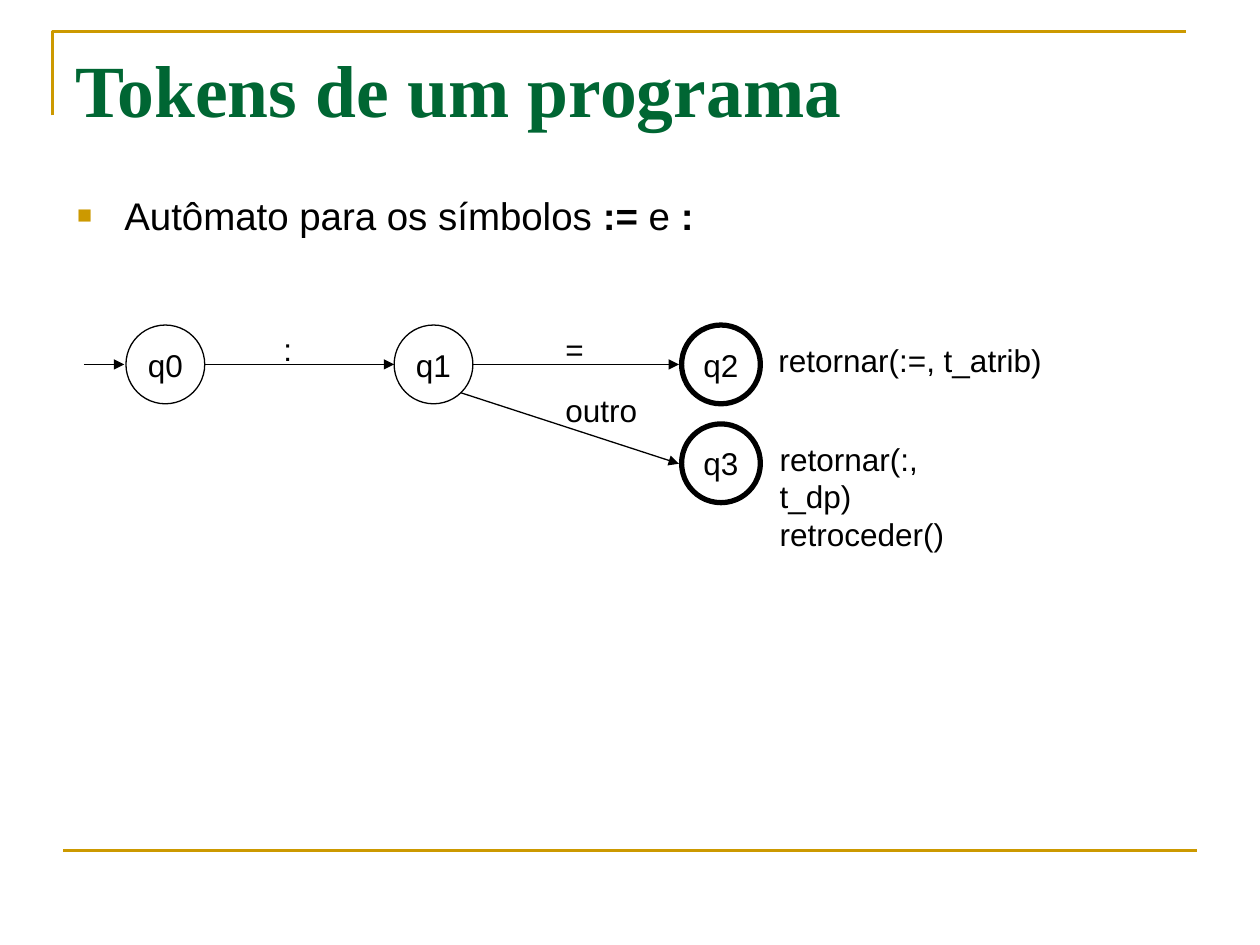
"""Build a slide showing the automaton for the := and : tokens."""
from lxml import etree
from pptx import Presentation
from pptx import util as u
from pptx.dml.color import RGBColor
from pptx.enum import shapes, text
from pptx.oxml import ns

GREEN = RGBColor(0x00, 0x66, 0x33)
GOLD = RGBColor(0xCC, 0x99, 0x00)
BLACK = RGBColor(0x00, 0x00, 0x00)

TITLE = {"name": "Times New Roman", "size": u.Pt(42), "bold": True}
BODY = {"name": "Arial", "size": u.Pt(22)}
LABEL = {"name": "Arial", "size": u.Pt(18)}

DIAMETER = 45
ROW_TOP = 185.75
ROW_MIDDLE = 208.25


def add_child(parent, tag, **attributes):
    return etree.SubElement(parent, ns.qn(tag), attributes)


def style_font(font, values, color=BLACK):
    for name, value in values.items():
        setattr(font, name, value)
    font.color.rgb = color


def style_line(line, color, width):
    line.color.rgb = color
    line.width = u.Pt(width)


def add_text(slide, box, lines, values, color=BLACK, wrap=False):
    shape = slide.shapes.add_textbox(*map(u.Pt, box))
    frame = shape.text_frame
    frame.word_wrap = wrap
    frame.text = "\n".join(lines)
    for paragraph in frame.paragraphs:
        style_font(paragraph.runs[0].font, values, color)


def add_bullet(slide, box, runs):
    frame = slide.shapes.add_textbox(*map(u.Pt, box)).text_frame
    frame.word_wrap = True
    paragraph = frame.paragraphs[0]
    properties = paragraph._p.get_or_add_pPr()
    properties.set("marL", str(u.Pt(27)))
    properties.set("indent", str(u.Pt(-27)))
    color = add_child(properties, "a:buClr")
    add_child(color, "a:srgbClr", val=str(GOLD))
    add_child(properties, "a:buSzPct", val="65000")
    add_child(properties, "a:buFont", typeface="Arial")
    add_child(properties, "a:buChar", char="■")
    style_font(paragraph.font, BODY)
    for words, bold in runs:
        run = paragraph.add_run()
        run.text = words
        style_font(run.font, {**BODY, "bold": bold})


def add_state(slide, name, left, top, width):
    shape = slide.shapes.add_shape(
        shapes.MSO_SHAPE.OVAL, *map(u.Pt, (left, top, DIAMETER, DIAMETER)))
    shape.shadow.inherit = False
    shape.fill.background()
    style_line(shape.line, BLACK, width)
    frame = shape.text_frame
    frame.word_wrap = False
    frame.vertical_anchor = text.MSO_ANCHOR.MIDDLE
    paragraph = frame.paragraphs[0]
    paragraph.alignment = text.PP_ALIGN.CENTER
    run = paragraph.add_run()
    run.text = name
    style_font(run.font, LABEL)


def add_line(slide, ends, color=BLACK, width=0.75, arrow=True):
    connector = slide.shapes.add_connector(
        shapes.MSO_CONNECTOR.STRAIGHT, *map(u.Pt, ends))
    style_line(connector.line, color, width)
    if arrow:
        add_child(connector.line._get_or_add_ln(), "a:tailEnd", type="triangle")
    add_child(connector._element.spPr, "a:effectLst")


def add_corner(slide):
    builder = slide.shapes.build_freeform(u.Pt(30), u.Pt(66))
    builder.add_line_segments(
        [(u.Pt(30), u.Pt(18)), (u.Pt(678), u.Pt(18))], close=False)
    shape = builder.convert_to_shape()
    shape.shadow.inherit = False
    shape.fill.background()
    style_line(shape.line, GOLD, 1.5)


def main():
    presentation = Presentation()
    presentation.slide_width, presentation.slide_height = u.Pt(720), u.Pt(540)
    slide = presentation.slides.add_slide(presentation.slide_layouts[6])

    add_corner(slide)
    add_line(slide, (36, 486, 684, 486), GOLD, 1.5, arrow=False)
    add_text(slide, (36, 21.6, 648, 90), ["Tokens de um programa"],
             TITLE, GREEN, wrap=True)
    add_bullet(slide, (37, 106, 648, 357), [
        ("Autômato para os símbolos ", False), (":=", True),
        (" e ", False), (":", True)])

    for name, left, top, width in (
            ("q0", 72, ROW_TOP, 0.75), ("q1", 225.25, ROW_TOP, 0.75),
            ("q2", 389.5, ROW_TOP, 3), ("q3", 389.5, 242.25, 3)):
        add_state(slide, name, left, top, width)

    for box, lines in (
            ((154.8, 185, 19.4, 29), [":"]),
            ((316, 185, 24.5, 29), ["="]),
            ((316, 219.6, 55.5, 29), ["outro"]),
            ((437.75, 191.5, 165, 29), ["retornar(:=, t_atrib)"]),
            ((438.5, 247.7, 139, 50.5), ["retornar(:, t_dp)", "retroceder()"])):
        add_text(slide, box, lines, LABEL)

    for ends in (
            (48, ROW_MIDDLE, 71, ROW_MIDDLE),
            (72 + DIAMETER, ROW_MIDDLE, 225.25, ROW_MIDDLE),
            (225.25 + DIAMETER, ROW_MIDDLE, 388, ROW_MIDDLE),
            (263.5, 224.5, 388, 265)):
        add_line(slide, ends)

    presentation.save("out.pptx")


if __name__ == "__main__":
    main()
